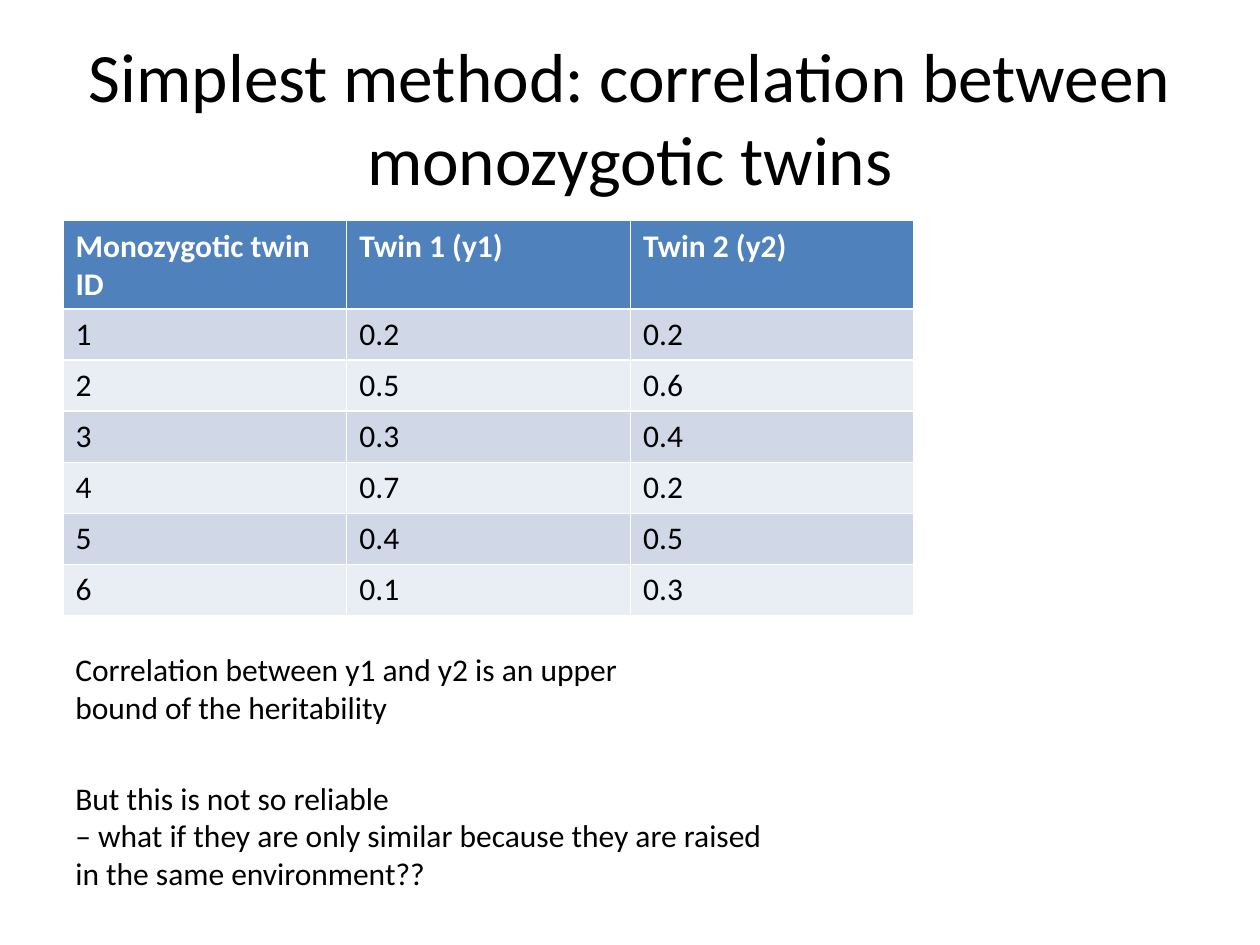
from pptx import Presentation
from pptx.dml.color import RGBColor
from pptx.enum import text
from pptx.util import Cm, Pt

BLACK = RGBColor(0x00, 0x00, 0x00)
WHITE = RGBColor(0xFF, 0xFF, 0xFF)
HEADER_BLUE = RGBColor(0x4F, 0x81, 0xBD)
BANDS = (RGBColor(0xD0, 0xD8, 0xE8), RGBColor(0xE9, 0xED, 0xF4))

TITLE = "Simplest method: correlation between monozygotic twins"
HEADERS = ("Monozygotic twin ID", "Twin 1 (y1)", "Twin 2 (y2)")
TWIN_PAIRS = (
    ("0.2", "0.2"),
    ("0.5", "0.6"),
    ("0.3", "0.4"),
    ("0.7", "0.2"),
    ("0.4", "0.5"),
    ("0.1", "0.3"),
)
NOTES = (
    (12.98, 12.57, 1.8, ["Correlation between y1 and y2 is an upper bound of the heritability"]),
    (15.57, 14.45, 2.57, [
        "But this is not so reliable",
        "– what if they are only similar because they are raised in the same environment??",
    ]),
)

LEFT = 1.27
COLUMN_WIDTH = 5.72
HEADER_HEIGHT = 1.78
ROW_HEIGHT = 1.03


def write(frame, lines, size=18, color=BLACK, bold=False,
          align=text.PP_ALIGN.LEFT, anchor=text.MSO_ANCHOR.TOP):
    frame.word_wrap = True
    frame.vertical_anchor = anchor
    for index, line in enumerate(lines):
        paragraph = frame.add_paragraph() if index else frame.paragraphs[0]
        paragraph.alignment = align
        run = paragraph.add_run()
        run.text = line
        run.font.name = "Calibri"
        run.font.size = Pt(size)
        run.font.bold = bold
        run.font.color.rgb = color


def add_text(slide, top, width, height, lines, **style):
    box = slide.shapes.add_textbox(Cm(LEFT), Cm(top), Cm(width), Cm(height))
    write(box.text_frame, lines, **style)


def add_twin_table(slide):
    rows = [HEADERS] + [(str(number), *pair) for number, pair in enumerate(TWIN_PAIRS, 1)]
    height = HEADER_HEIGHT + ROW_HEIGHT * len(TWIN_PAIRS)
    table = slide.shapes.add_table(
        len(rows), len(HEADERS), Cm(LEFT), Cm(4.45),
        Cm(COLUMN_WIDTH * len(HEADERS)), Cm(height)).table
    for column in table.columns:
        column.width = Cm(COLUMN_WIDTH)
    for row_index, values in enumerate(rows):
        is_header = row_index == 0
        table.rows[row_index].height = Cm(HEADER_HEIGHT if is_header else ROW_HEIGHT)
        for column_index, value in enumerate(values):
            cell = table.cell(row_index, column_index)
            cell.fill.solid()
            cell.fill.fore_color.rgb = HEADER_BLUE if is_header else BANDS[(row_index - 1) % 2]
            write(cell.text_frame, [value], color=WHITE if is_header else BLACK, bold=is_header)


def main():
    presentation = Presentation()
    presentation.slide_width, presentation.slide_height = Cm(25.4), Cm(19.05)
    slide = presentation.slides.add_slide(presentation.slide_layouts[6])
    add_text(slide, 0.76, 22.86, 3.18, [TITLE], size=39.6,
             align=text.PP_ALIGN.CENTER, anchor=text.MSO_ANCHOR.MIDDLE)
    add_twin_table(slide)
    for top, width, height, lines in NOTES:
        add_text(slide, top, width, height, lines)
    presentation.save("out.pptx")


if __name__ == "__main__":
    main()
